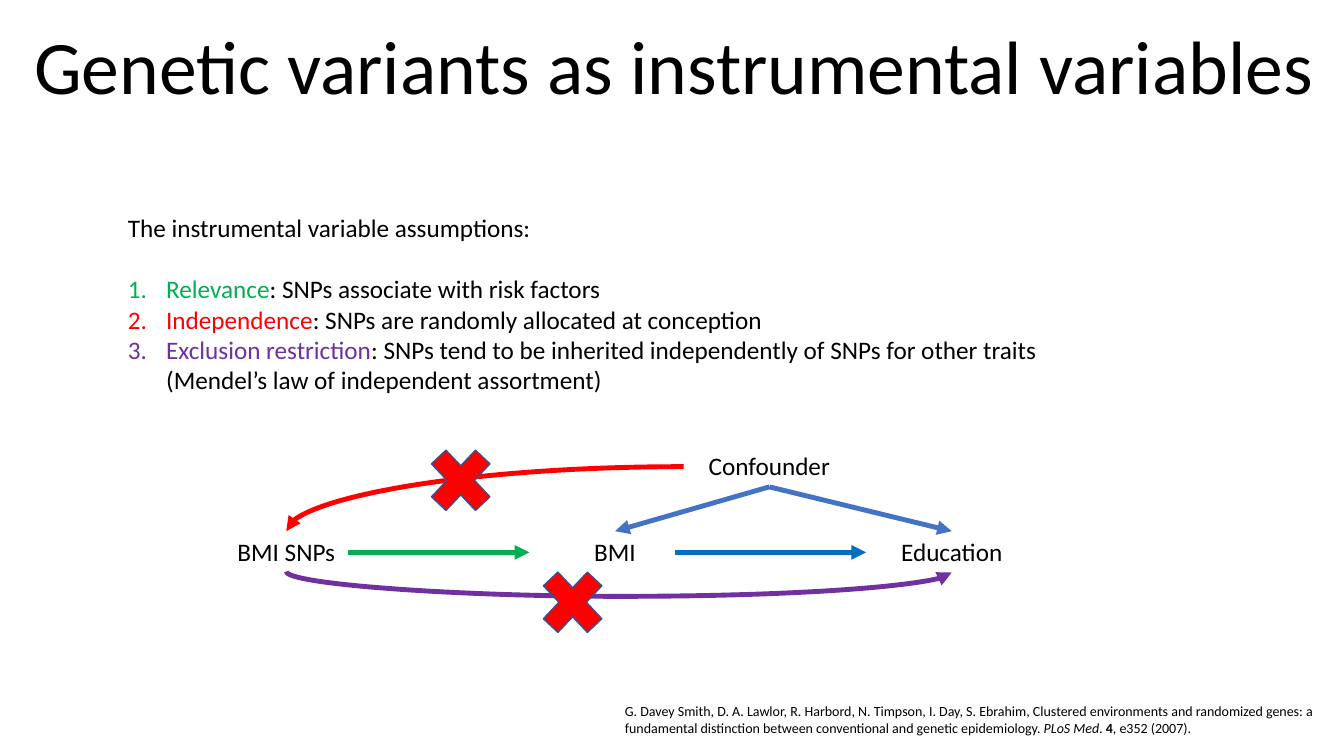
from lxml import etree
from pptx import Presentation
from pptx.dml.color import RGBColor
from pptx.enum.shapes import MSO_CONNECTOR as CONN, MSO_SHAPE as SHAPE
from pptx.enum.text import MSO_ANCHOR as ANCHOR, PP_ALIGN as ALIGN
from pptx.oxml.ns import qn
from pptx.util import Inches, Pt

BLACK, GREEN, RED, PURPLE = "000000", "00B050", "FF0000", "7030A0"
BLUE, STEEL, NAVY = "0070C0", "4472C4", "325491"


def rgb(color):
    return RGBColor.from_string(color)


def add_run(p, text, size, color=BLACK, bold=False, italic=False):
    r = p.add_run()
    r.text = text
    f = r.font
    f.name, f.size, f.bold, f.italic = "Calibri", Pt(size), bold, italic
    f.color.rgb = rgb(color)


def add_box(s, x, y, w, h, anchor=ANCHOR.TOP):
    tf = s.shapes.add_textbox(Inches(x), Inches(y), Inches(w), Inches(h)).text_frame
    tf.word_wrap = True
    tf.vertical_anchor = anchor
    return tf


def number(p):
    pPr = p._p.get_or_add_pPr()
    pPr.set("marL", str(Inches(0.38)))
    pPr.set("indent", str(-Inches(0.38)))
    etree.SubElement(pPr, qn("a:buFont"), typeface="+mj-lt")
    etree.SubElement(pPr, qn("a:buAutoNum"), type="arabicPeriod")


def add_arrow(s, start, end, color, kind=CONN.STRAIGHT):
    c = s.shapes.add_connector(kind, *(Inches(v) for v in (*start, *end)))
    c.line.color.rgb = rgb(color)
    c.line.width = Pt(3.5)
    etree.SubElement(c.line._get_or_add_ln(), qn("a:tailEnd"), type="triangle")
    etree.SubElement(c._element.spPr, qn("a:effectLst"))
    return c


def add_corner_curve(s, start, end, color):
    c = add_arrow(s, start, end, color, CONN.CURVE)
    c._element.spPr.find(qn("a:prstGeom")).set("prst", "curvedConnector2")


def add_sagging_curve(s, start, end, sag, color):
    (x1, y1), (x2, y2) = start, end
    cx, cy = (x1 + x2) / 2, (y1 + y2) / 2
    half_w, half_h = (x2 - x1) / 2, (y2 - y1) / 2
    c = add_arrow(s, (cx + half_h, cy - half_w), (cx - half_h, cy + half_w),
                  color, CONN.CURVE)
    spPr = c._element.spPr
    spPr.find(qn("a:xfrm")).set("rot", str(270 * 60000))
    guides = spPr.find(qn("a:prstGeom")).get_or_add_avLst()
    ratio = round(sag / (y2 - y1) * 100000)
    etree.SubElement(guides, qn("a:gd"), name="adj1", fmla=f"val {ratio}")


def add_cross(s, x, y):
    sp = s.shapes.add_shape(SHAPE.MATH_MULTIPLY, Inches(x), Inches(y),
                            Inches(0.84), Inches(0.89))
    sp.shadow.inherit = False
    sp.fill.solid()
    sp.fill.fore_color.rgb = rgb(RED)
    sp.line.color.rgb = rgb(NAVY)
    sp.line.width = Pt(1)


def add_title(s, x, y, w, h):
    p = add_box(s, x, y, w, h, ANCHOR.BOTTOM).paragraphs[0]
    p.line_spacing = 0.9
    add_run(p, "Genetic variants as instrumental variables", 54)


def add_assumptions(s, x, y, w, h):
    tf = add_box(s, x, y, w, h)
    add_run(tf.paragraphs[0], "The instrumental variable assumptions:", 18)
    items = [
        ("Relevance", ": SNPs associate with risk factors", GREEN),
        ("Independence", ": SNPs are randomly allocated at conception", RED),
        ("Exclusion restriction", ": SNPs tend to be inherited independently of SNPs "
         "for other traits (Mendel’s law of independent assortment)", PURPLE),
    ]
    for i, (term, meaning, color) in enumerate(items):
        p = tf.add_paragraph()
        if i == 0:
            p.space_before = Pt(22)
        number(p)
        add_run(p, term, 18, color)
        add_run(p, meaning, 18)


def add_citation(s, x, y, w, h):
    p = add_box(s, x, y, w, h).paragraphs[0]
    add_run(p, "G. Davey Smith, D. A. Lawlor, R. Harbord, N. Timpson, I. Day, S. Ebrahim, "
            "Clustered environments and randomized genes: a fundamental distinction "
            "between conventional and genetic epidemiology. ", 10)
    add_run(p, "PLoS Med", 10, italic=True)
    add_run(p, ". ", 10)
    add_run(p, "4", 10, bold=True)
    add_run(p, ", e352 (2007).", 10)


def add_causal_diagram(s, x, y):
    node_w, node_h = 1.7, 0.4
    row = y + 0.85
    snps, bmi, education = x, x + 3.26, x + 6.6
    confounder = x + 4.79

    def mid(left):
        return left + node_w / 2

    for label, left, top in [("BMI SNPs", snps, row), ("BMI", bmi, row),
                             ("Education", education, row),
                             ("Confounder", confounder, y)]:
        p = add_box(s, left, top, node_w, node_h).paragraphs[0]
        p.alignment = ALIGN.CENTER
        add_run(p, label, 18)

    level = row + 0.21
    add_arrow(s, (x + 1.46, level), (bmi, level), GREEN)
    add_arrow(s, (x + 4.7, level), (education, level), BLUE)
    for target in (bmi, education):
        add_arrow(s, (mid(confounder), y + 0.41), (mid(target), row), STEEL)
    add_corner_curve(s, (confounder, y + 0.21), (mid(snps), row), RED)
    bottom = row + node_h
    add_sagging_curve(s, (mid(snps), bottom), (mid(education), bottom + 0.01),
                      0.25, PURPLE)
    add_cross(s, x + 2.16, y - 0.1)
    add_cross(s, x + 3.27, y + 1.11)


def main():
    prs = Presentation()
    prs.slide_width, prs.slide_height = Inches(13.33), Inches(7.5)
    s = prs.slides.add_slide(prs.slide_layouts[6])
    add_title(s, 0.24, 0.28, 13.43, 0.87)
    add_assumptions(s, 1.17, 2.06, 9.7, 1.92)
    add_citation(s, 6.1, 6.92, 7.53, 0.61)
    add_causal_diagram(s, 1.99, 4.42)
    prs.save("out.pptx")


if __name__ == "__main__":
    main()
